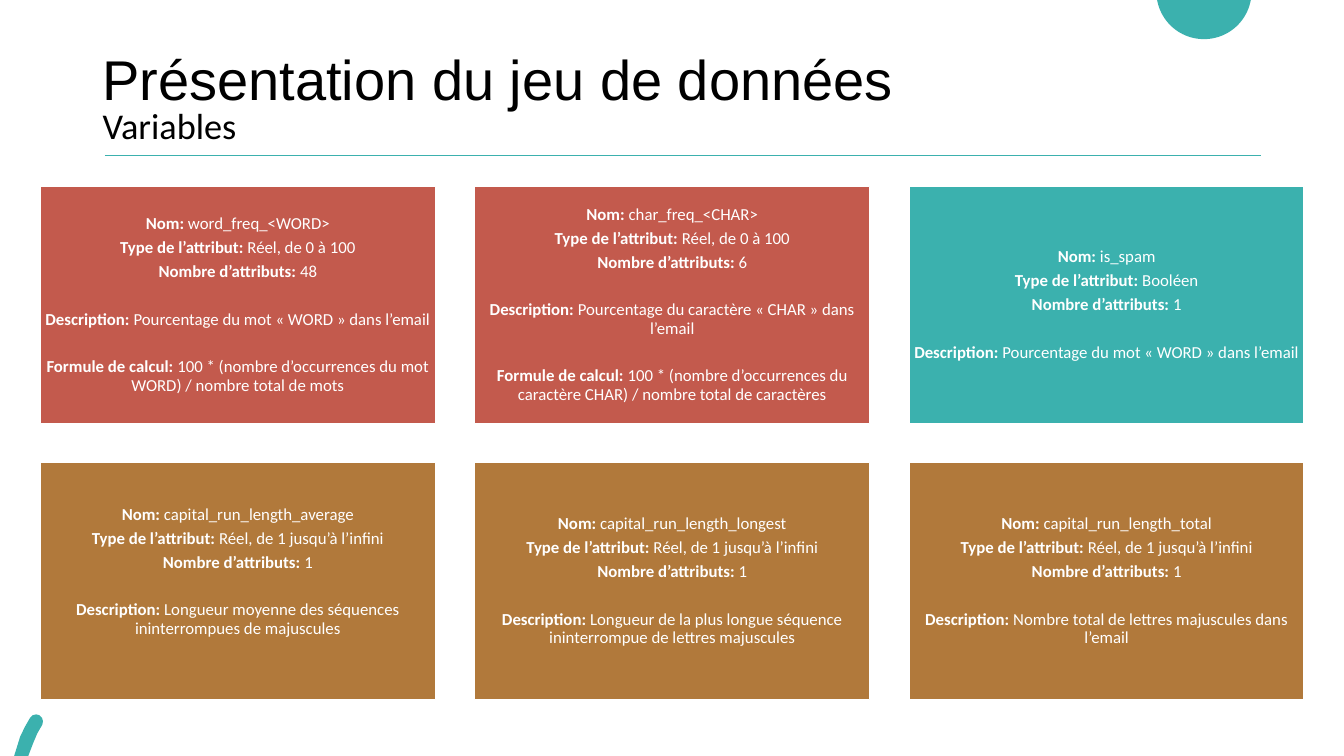
from math import asin, cos, pi, sin

from lxml.etree import SubElement
from pptx import Presentation
from pptx.dml.color import RGBColor
from pptx.enum.shapes import MSO_CONNECTOR, MSO_SHAPE
from pptx.enum.text import MSO_ANCHOR, PP_ALIGN
from pptx.oxml.ns import qn
from pptx.util import Pt

# Colours
TEAL = RGBColor(0x3B, 0xB1, 0xAE)
RED = RGBColor(0xC3, 0x5A, 0x4D)
BROWN = RGBColor(0xB1, 0x79, 0x3B)
WHITE = RGBColor(0xFF, 0xFF, 0xFF)
BLACK = RGBColor(0x00, 0x00, 0x00)

# Content
TITLE = "Présentation du jeu de données"
SUBTITLE = "Variables"
LABELS = ("Nom:", "Type de l’attribut:", "Nombre d’attributs:", "Description:", "Formule de calcul:")
SPACED_LABELS = LABELS[3:]
PERCENTAGE = "Réel, de 0 à 100"
UNBOUNDED = "Réel, de 1 jusqu’à l’infini"
# Each card: fill, bottom inset, one value for each label
CARDS = [
    (RED, 3.6, ("word_freq_<WORD>", PERCENTAGE, "48",
                "Pourcentage du mot « WORD » dans l’email",
                "100 * (nombre d’occurrences du mot WORD) / nombre total de mots")),
    (RED, 3.6, ("char_freq_<CHAR>", PERCENTAGE, "6",
                "Pourcentage du caractère « CHAR » dans l’email",
                "100 * (nombre d’occurrences du caractère CHAR) / nombre total de caractères")),
    (TEAL, 3.6, ("is_spam", "Booléen", "1",
                 "Pourcentage du mot « WORD » dans l’email")),
    (BROWN, 16.8, ("capital_run_length_average", UNBOUNDED, "1",
                   "Longueur moyenne des séquences ininterrompues de majuscules")),
    (BROWN, 3.6, ("capital_run_length_longest", UNBOUNDED, "1",
                  "Longueur de la plus longue séquence ininterrompue de lettres majuscules")),
    (BROWN, 3.6, ("capital_run_length_total", UNBOUNDED, "1",
                  "Nombre total de lettres majuscules dans l’email")),
]

# Layout in points
COLUMNS = 3
CARD_LEFT, CARD_TOP = 28.8, 133.2
CARD_WIDTH, CARD_HEIGHT = 282.2, 169.2
COLUMN_STEP, ROW_STEP = 310.3, 197.3
DISC_X, DISC_Y, DISC_RADIUS = 860, -6, 34
ARC_STEPS = 48
DASH_POINTS = [
    (25.9, 510.3), (23.4, 510.9), (21.6, 512.6), (17.8, 519.2), (14.4, 526.3),
    (10.1, 540), (20.2, 540), (23.8, 530.6), (26.6, 524), (30.2, 517.7),
    (30.7, 515.2), (30, 512.8), (28.1, 510.9),
]

# Text formats
TITLE_FORMAT = {"name": "Arial", "size": Pt(40), "bold": False}
SUBTITLE_FORMAT = {"name": "Calibri", "size": Pt(25.9), "bold": False}
LABEL_FORMAT = {"name": "Calibri", "size": Pt(12), "bold": True}
VALUE_FORMAT = {**LABEL_FORMAT, "bold": False}
CARD_PARAGRAPH = {"alignment": PP_ALIGN.CENTER, "line_spacing": 0.9, "space_after": Pt(4)}


def set_attributes(target, values):
    for name, value in values.items():
        setattr(target, name, value)


def add_run(paragraph, text, font_format, color):
    run = paragraph.add_run()
    run.text = text
    set_attributes(run.font, font_format)
    run.font.color.rgb = color


def add_heading(slide, text, box, anchor, paragraph_format, font_format):
    shape = slide.shapes.add_textbox(*(Pt(length) for length in box))
    set_attributes(shape.text_frame, {"word_wrap": True, "vertical_anchor": anchor})
    paragraph = shape.text_frame.paragraphs[0]
    set_attributes(paragraph, paragraph_format)
    add_run(paragraph, text, font_format, BLACK)


def add_outline(slide, points):
    corners = [(Pt(x), Pt(y)) for x, y in points]
    builder = slide.shapes.build_freeform(*corners[0], scale=1.0)
    builder.add_line_segments(corners[1:], close=True)
    shape = builder.convert_to_shape()
    shape.shadow.inherit = False
    shape.fill.solid()
    shape.fill.fore_color.rgb = TEAL
    shape.line.fill.background()


def add_card(slide, index, fill, bottom_inset, values):
    row, column = divmod(index, COLUMNS)
    shape = slide.shapes.add_shape(
        MSO_SHAPE.RECTANGLE,
        Pt(CARD_LEFT + column * COLUMN_STEP), Pt(CARD_TOP + row * ROW_STEP),
        Pt(CARD_WIDTH), Pt(CARD_HEIGHT))
    shape.shadow.inherit = False
    shape.fill.solid()
    shape.fill.fore_color.rgb = fill
    shape.line.color.rgb = WHITE
    shape.line.width = Pt(1)
    frame = shape.text_frame
    set_attributes(frame, {
        "word_wrap": True, "vertical_anchor": MSO_ANCHOR.MIDDLE,
        "margin_left": Pt(3.6), "margin_right": Pt(3.6),
        "margin_top": Pt(3.6), "margin_bottom": Pt(bottom_inset)})
    for position, (label, value) in enumerate(zip(LABELS, values)):
        paragraph = frame.add_paragraph() if position else frame.paragraphs[0]
        set_attributes(paragraph, CARD_PARAGRAPH)
        if label in SPACED_LABELS:
            paragraph.space_before = Pt(17.2)
        add_run(paragraph, label, LABEL_FORMAT, WHITE)
        add_run(paragraph, " " + value, VALUE_FORMAT, WHITE)


def main():
    presentation = Presentation()
    presentation.slide_width, presentation.slide_height = Pt(960), Pt(540)
    slide = presentation.slides.add_slide(presentation.slide_layouts[6])

    # Corner decorations
    start = asin(-DISC_Y / DISC_RADIUS)
    angles = [start + (pi - 2 * start) * step / ARC_STEPS for step in range(ARC_STEPS + 1)]
    add_outline(slide, [(DISC_X + DISC_RADIUS * cos(angle), DISC_Y + DISC_RADIUS * sin(angle))
                        for angle in angles])
    add_outline(slide, DASH_POINTS)

    # Headings and rule
    add_heading(slide, TITLE, (66.2, 6.5, 828, 104.4), MSO_ANCHOR.MIDDLE,
                {"line_spacing": 0.9}, TITLE_FORMAT)
    add_heading(slide, SUBTITLE, (66.2, 78.5, 396.7, 31.7), MSO_ANCHOR.TOP,
                {"line_spacing": 0.7, "space_before": Pt(10)}, SUBTITLE_FORMAT)
    rule = slide.shapes.add_connector(
        MSO_CONNECTOR.STRAIGHT, Pt(74.9), Pt(110.9), Pt(900.7), Pt(110.9))
    rule.line.color.rgb = TEAL
    rule.line.width = Pt(0.5)
    SubElement(rule.element.spPr, qn("a:effectLst"))

    # Variable cards
    for index, card in enumerate(CARDS):
        add_card(slide, index, *card)

    presentation.save("out.pptx")


if __name__ == "__main__":
    main()
